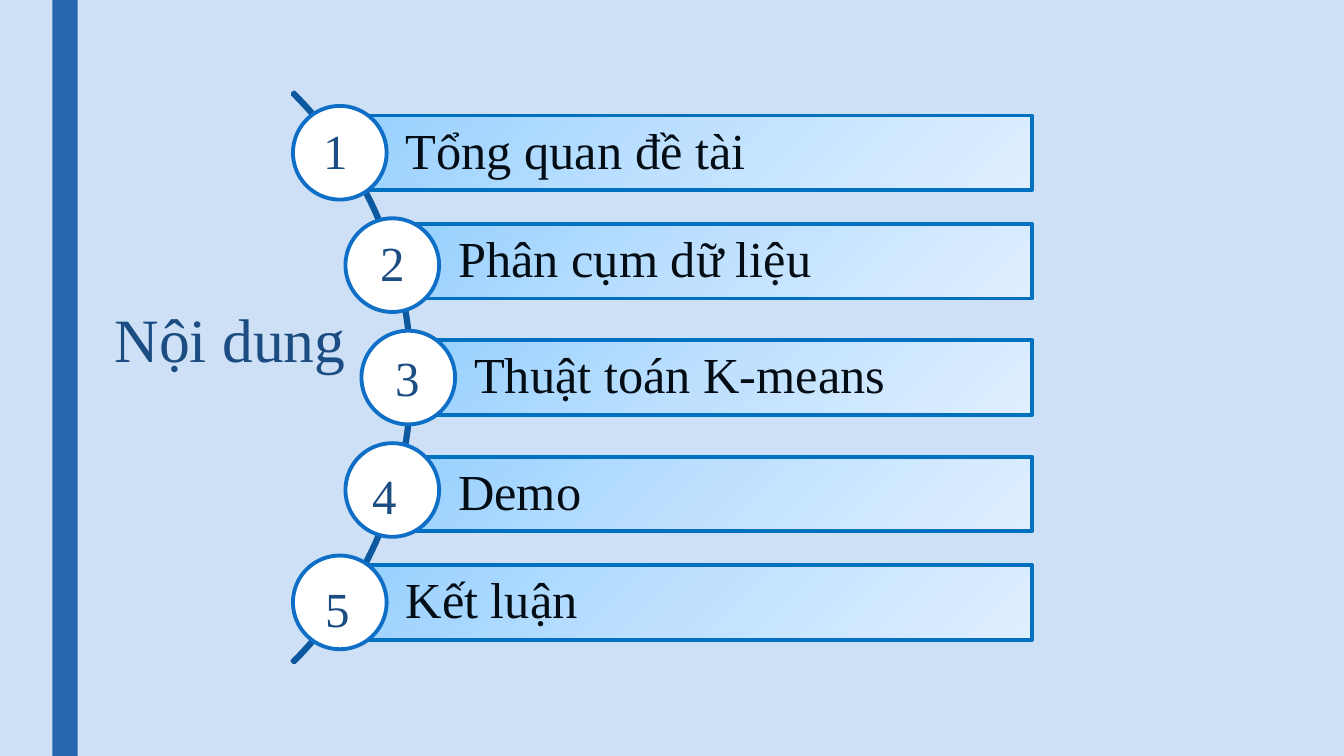
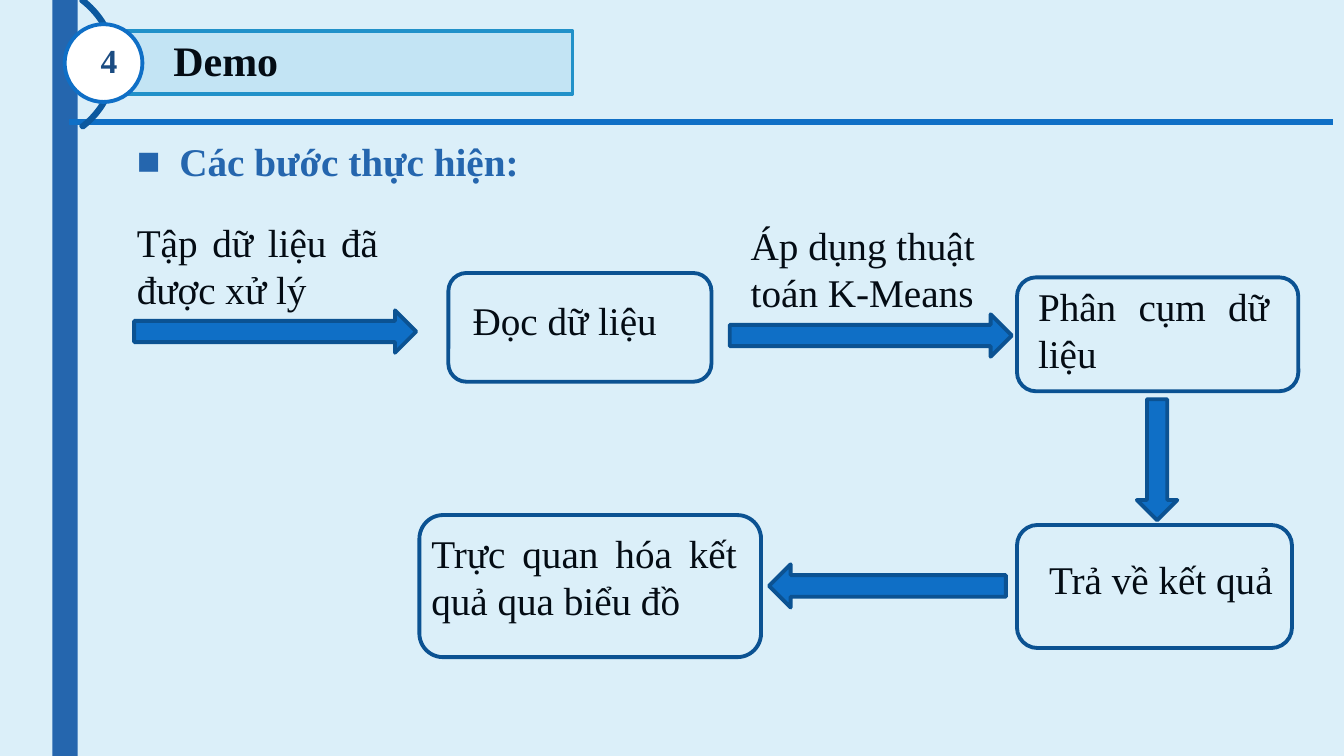
import copy
import math

import pptx
import pptx.dml.color
import pptx.enum.shapes
import pptx.enum.text
import pptx.oxml
import pptx.oxml.ns
import pptx.util

Cm = pptx.util.Cm
Pt = pptx.util.Pt
KIND = pptx.enum.shapes.MSO_SHAPE
ALIGN = pptx.enum.text.PP_ALIGN
MID = pptx.enum.text.MSO_ANCHOR.MIDDLE
qn = pptx.oxml.ns.qn

WIDE, HIGH = 33.87, 19.05
FONT = "Times New Roman"
EDGE = 2.75
COL = {
    "sky": "CEE0F5", "ice": "DBEFF9", "band": "2566AE", "arc": "0C599F",
    "ring": "0F6FC6", "rim": "0070C0", "frame": "0B5292", "ink": "040C14",
    "navy": "1B4C82", "white": "FFFFFF", "head": "B3DDF2", "trim": "2191C9",
}
GRAD = ["96D0FF", "BFE1FF", "E0EFFF"]


# Shared helpers

def tint(name):
    return pptx.dml.color.RGBColor.from_string(COL.get(name, name))


def put(thing, form):
    for key, value in form.items():
        setattr(thing, key, value)


def tag(name, **attrs):
    node = pptx.oxml.parse_xml(
        f'<a:{name} xmlns:a="http://schemas.openxmlformats.org/drawingml/2006/main"/>')
    for key, value in attrs.items():
        node.set(key, str(value))
    return node


def shape(slide, kind, box, fill=None, line=None):
    item = slide.shapes.add_shape(kind, *map(Cm, box))
    item.shadow.inherit = False
    if fill:
        item.fill.solid()
        item.fill.fore_color.rgb = tint(fill)
    else:
        item.fill.background()
    if line:
        item.line.color.rgb = tint(line)
        item.line.width = Pt(EDGE)
    else:
        item.line.fill.background()
    return item


def write(item, text, size, color="ink", bold=False, wrap=True, frame=None, para=None):
    area = item.text_frame
    put(area, {"word_wrap": wrap, **(frame or {})})
    line = area.paragraphs[0]
    put(line, {"alignment": ALIGN.LEFT, **(para or {})})
    run = line.add_run()
    run.text = text
    put(run.font, {"name": FONT, "size": Pt(size), "bold": bold})
    run.font.color.rgb = tint(color)
    return line


def label(slide, box, text, size, **form):
    item = slide.shapes.add_textbox(*map(Cm, box))
    return write(item, text, size, **form)


def arc(slide, box, thick):
    item = shape(slide, KIND.BLOCK_ARC, box, line="arc")
    # Angles of 315 and 45 degrees
    for spot, value in enumerate((189, 27, thick)):
        item.adjustments[spot] = value
    item.line._get_or_add_ln().set("cap", "rnd")


def bar(slide, box, text, size, inset, pad, fill, line, bold=False):
    item = shape(slide, KIND.RECTANGLE, box, fill, line)
    frame = {"vertical_anchor": MID, "margin_left": Cm(inset)}
    frame.update({f"margin_{side}": Cm(pad) for side in ("right", "top", "bottom")})
    write(item, text, size, bold=bold, frame=frame, para={"line_spacing": 0.9})
    return item


def disc(slide, left, top, size):
    shape(slide, KIND.OVAL, (left, top, size, size), "white", "ring")


def blend(item):
    item.fill.gradient()
    item.fill.gradient_angle = 315
    stops = item._element.spPr.find(qn("a:gradFill")).find(qn("a:gsLst"))
    stops.insert(1, copy.deepcopy(stops[0]))
    for spot, (stop, color) in enumerate(zip(item.fill.gradient_stops, GRAD)):
        stop.color.rgb = tint(color)
        stop.position = spot / 2


def start(deck, ground):
    slide = deck.slides.add_slide(deck.slide_layouts[6])
    slide.background.fill.solid()
    slide.background.fill.fore_color.rgb = tint(ground)
    shape(slide, KIND.RECTANGLE, (1.32, 0, 0.64, HIGH), "band")
    return slide


# Contents list: discs strung along an arc

def list_part(slide, box):
    left, top, wide, high = box
    size, tall, reach = 2.36, 1.88, 10.16
    # text, bar shift, number shift across and down
    rows = [
        ("Tổng quan đề tài", 0, -0.08, 0.25),
        ("Phân cụm dữ liệu", -0.1, 0.03, 0.23),
        ("Thuật toán K-means", 0, 0, 0.3),
        ("Demo", 0.1, -0.18, 0.43),
        ("Kết luận", 0, -0.03, 0.46),
    ]
    step = (high - size) / (len(rows) - 1)
    mid = top + high / 2
    arc(slide, (left + 0.1 - reach, mid - reach, 2 * reach, 2 * reach), 0.003)
    marks = []
    for spot, (text, shift, across, down) in enumerate(rows):
        y = top + size / 2 + spot * step
        x = left + math.sqrt(reach ** 2 - (y - mid) ** 2)
        strip = (x + 0.16, y - tall / 2 + shift, left + wide - x - 0.16, tall)
        blend(bar(slide, strip, text, 36, 1.5, 0.25, "white", "rim"))
        disc(slide, x - size / 2, y - size / 2, size)
        marks.append((x - 0.57 + across, y - size / 2 + down, 1.14, 1.75))
    for spot, place in enumerate(marks, 1):
        label(slide, place, str(spot), 35, color="navy", wrap=False)


# Section header: rule, arc, bar and numbered disc

def head_part(slide, box, number, text):
    left, top, wide, high = box
    rule = slide.shapes.add_connector(
        pptx.enum.shapes.MSO_CONNECTOR.STRAIGHT,
        Cm(1.73), Cm(top + 2.46), Cm(33.6), Cm(top + 2.46))
    rule.line.color.rgb = tint("ring")
    rule.line.width = Pt(4.75)
    rule._element.spPr.append(tag("effectLst"))
    arc(slide, (left - 3.61, top - 1.17, 4.9, 4.32), 0.014)
    strip = bar(slide, (left + 1.47, top + 0.18, wide - 1.47, 1.57),
                text, 30, 1.27, 0.2, "head", "trim", bold=True)
    color = strip._element.spPr.find(qn("a:solidFill"))[0]
    color.append(tag("alpha", val=59000))
    disc(slide, left, top, high)
    label(slide, (left + 0.2, top + 0.28, 1.83, 1.27), number, 24,
          color="navy", bold=True, para={"alignment": ALIGN.CENTER})


def point(slide, box, text):
    line = label(slide, box, text, 28, color="band", bold=True,
                 para={"line_spacing": 0.94, "space_after": Pt(2)})
    props = line._p.get_or_add_pPr()
    indent = Cm(1.07)
    props.set("marL", str(indent))
    props.set("indent", str(-indent))
    props.append(tag("buFont", typeface=FONT))
    props.append(tag("buChar", char="■"))


# Flow of steps, placed from the corner of its box

def flow_part(slide, left, top):
    full = {"alignment": ALIGN.JUSTIFY}
    # frame box, then text shift across and down, width, text, format
    steps = [
        ((8.1, 1.5, 6.63, 2.74), (0.36, 0.46, 6.17), "Đọc dữ liệu", full),
        ((22.43, 1.61, 7.09, 2.87), (0.28, 0, 6.32), "Phân cụm dữ liệu", full),
        ((22.43, 7.85, 6.93, 3.1), (0.56, 0.64, 6.38), "Trả về kết quả", None),
        ((7.37, 7.6, 8.61, 3.58), (0.05, 0.23, 8.2),
         "Trực quan hóa kết quả qua biểu đồ", full),
    ]
    for (x, y, wide, high), (across, down, room), text, para in steps:
        x, y = left + x, top + y
        shape(slide, KIND.ROUNDED_RECTANGLE, (x, y, wide, high), "ice", "frame")
        label(slide, (x + across, y + down, room, 2.64), text, 28, para=para)

    notes = [
        (0, 0, 6.58, "Tập dữ liệu đã được xử lý", full),
        (15.47, 0.06, 6.43, "Áp dụng thuật toán K-Means", None),
    ]
    for x, y, wide, text, para in notes:
        label(slide, (left + x, top + y, wide, 2.64), text, 28, para=para)

    arrows = [
        (KIND.RIGHT_ARROW, 0.18, 2.44, 7.11, 1.07),
        (KIND.RIGHT_ARROW, 15.19, 2.54, 7.11, 1.07),
        (KIND.DOWN_ARROW, 25.45, 4.68, 1.02, 3.05),
        (KIND.LEFT_ARROW, 16.18, 8.84, 5.97, 1.09),
    ]
    for kind, x, y, wide, high in arrows:
        shape(slide, kind, (left + x, top + y, wide, high), "ring", "frame")


def main():
    deck = pptx.Presentation()
    put(deck, {"slide_width": Cm(WIDE), "slide_height": Cm(HIGH)})

    # Contents
    slide = start(deck, "sky")
    list_part(slide, (0.13, 2.67, 25.88, 13.69))
    label(slide, (2.64, 7.47, 6.4, 2.13), "Nội dung", 44, color="navy")

    # Demo steps
    slide = start(deck, "ice")
    head_part(slide, (1.63, 0.61, 12.8, 1.96), "4", "Demo")
    point(slide, (3.2, 3.43, 12.19, 1.4), "Các bước thực hiện:")
    flow_part(slide, 3.2, 5.38)

    deck.save("out.pptx")


if __name__ == "__main__":
    main()
